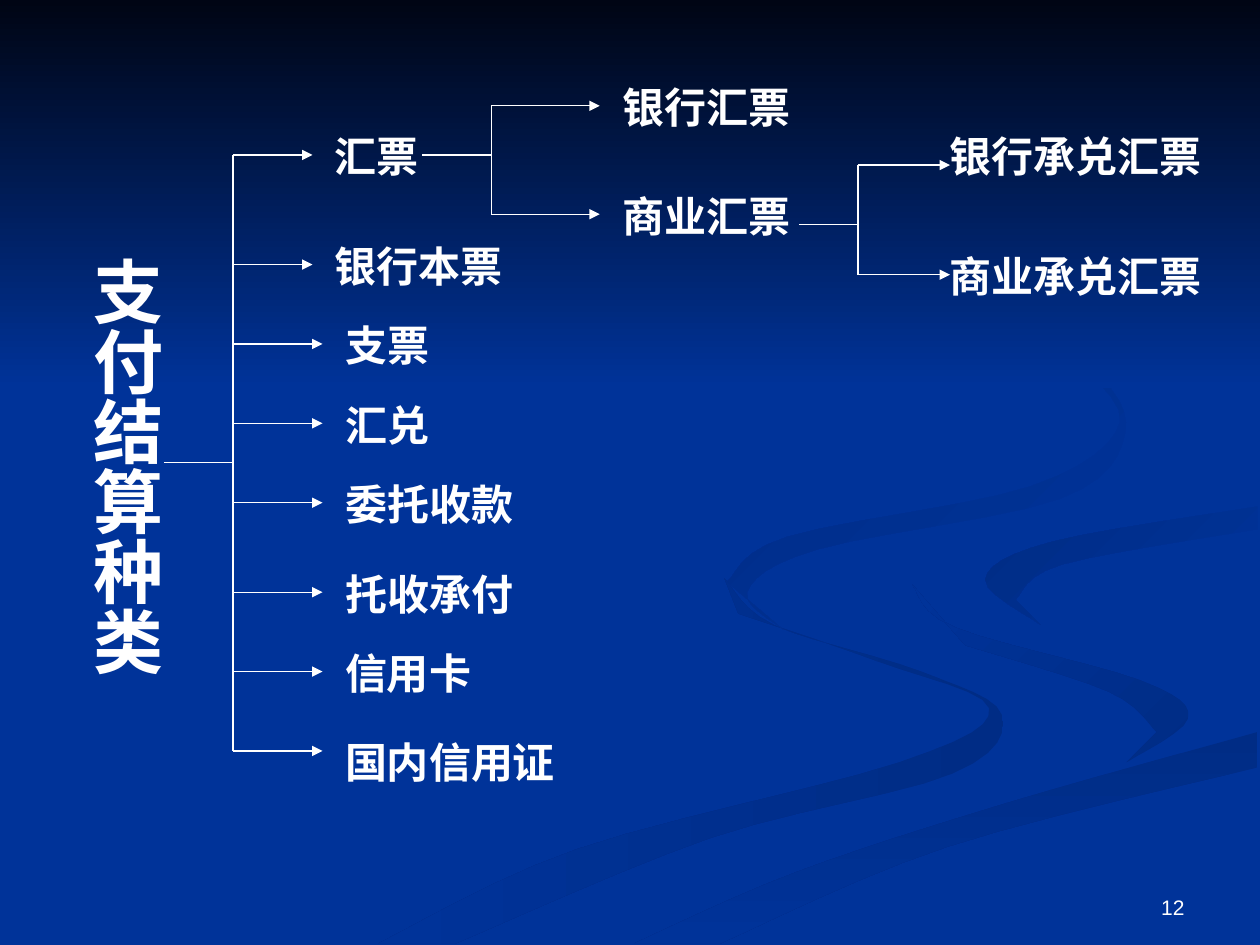
"""Build a slide that shows the kinds of payment settlement as a tree."""
from lxml.etree import SubElement
from pptx import Presentation
from pptx.dml.color import RGBColor
from pptx.enum.shapes import MSO_CONNECTOR
from pptx.enum.text import MSO_ANCHOR, MSO_AUTO_SIZE, PP_ALIGN
from pptx.oxml.ns import qn
from pptx.util import Inches, Pt

THEME = {
    "back": "003399", "night": "000514", "shade": "002C85", "text": "FFFFFF",
    "face": "Times New Roman", "plain": "Arial",
    "root": 40, "label": 24, "page": 12, "line": 0.75,
}

ROOT = ("支付结算种类", (0.52, 1.94, 0.86, 4.41))
PAGE = ("12", (7.17, 6.83, 2.33, 0.52))

TREE = [
    {"stem": (1.3, 3.67), "trunk": 1.85, "tip": 2.56, "gap": 0.08, "leaves": {
        "汇票": 1.23, "银行本票": 2.1, "支票": 2.73, "汇兑": 3.36,
        "委托收款": 3.99, "托收承付": 4.7, "信用卡": 5.33, "国内信用证": 5.96}},
    {"stem": (3.35, 1.23), "trunk": 3.9, "tip": 4.76, "gap": 0.08, "leaves": {
        "银行汇票": 0.84, "商业汇票": 1.7}},
    {"stem": (6.34, 1.78), "trunk": 6.81, "tip": 7.54, "gap": -0.1, "leaves": {
        "银行承兑汇票": 1.31, "商业承兑汇票": 2.18}},
]
INSET = {"汇票": 0.08, "银行本票": 0.08}
DROP = {"国内信用证": 0.08, "银行承兑汇票": -0.08}

RIBBONS = [
    ("shade", "back", 180,
     [(5.75, 4.59), (6.14, 4.96), (7.31, 5.33), (7.95, 5.67), (7.56, 6.14),
      (5.64, 6.65), (3.61, 7.49)],
     [(3, 7.49), (4.58, 6.74), (7.14, 6.05), (7.85, 5.62), (6.97, 5.25),
      (5.86, 4.87)]),
    ("shade", "back", 225,
     [(7.24, 4.64), (7.58, 4.98), (9.05, 5.4), (9.43, 5.7), (8.94, 6.05)],
     [(9.18, 5.81), (8.8, 5.49), (7.66, 5.12)]),
    ("shade", "back", 90,
     [(5.03, 7.49), (6.3, 6.93), (7.97, 6.38), (9.98, 5.81)],
     [(9.98, 6.09), (7.52, 6.72), (5.71, 7.49)]),
    ("back", "shade", 225,
     [(8.26, 4.96), (7.82, 4.6), (8.35, 4.3), (9.98, 4.02)],
     [(9.98, 4.2), (8.43, 4.48), (8.06, 4.76)]),
    ("back", "shade", 225,
     [(7.62, 2.33), (8.64, 2.91), (8.93, 3.44), (8.41, 3.96), (6.49, 4.36),
      (5.93, 4.7), (6.22, 5)],
     [(5.77, 4.62), (6.25, 4.26), (8.18, 3.86), (8.89, 3.35), (8.46, 2.79)]),
]


def hue(name):
    return RGBColor.from_string(THEME[name])


def smooth(knots, steps=6):
    ring = [knots[0], *knots, knots[-1]]
    curve = []
    for a, b, c, d in zip(ring, ring[1:], ring[2:], ring[3:]):
        for step in range(steps):
            t = step / steps
            curve.append(tuple(
                q + t * ((r - p) + t * ((2 * p - 5 * q + 4 * r - s)
                                        + t * (3 * q - p - 3 * r + s))) / 2
                for p, q, r, s in zip(a, b, c, d)))
    return curve + [knots[-1]]


def add_band(slide, start, end, angle, points):
    spots = [(Inches(x), Inches(y)) for x, y in points]
    pen = slide.shapes.build_freeform(*spots[0])
    pen.add_line_segments(spots[1:], close=True)
    band = pen.convert_to_shape()
    band.shadow.inherit = False
    band.line.fill.background()
    band.fill.gradient()
    band.fill.gradient_angle = 360 - angle
    for stop, name in zip(band.fill.gradient_stops, (start, end)):
        stop.color.rgb = hue(name)


def add_line(slide, x1, y1, x2, y2, arrow=False):
    ends = [Inches(n) for n in (x1, y1, x2, y2)]
    line = slide.shapes.add_connector(MSO_CONNECTOR.STRAIGHT, *ends)
    line.line.color.rgb = hue("text")
    line.line.width = Pt(THEME["line"])
    if arrow:
        SubElement(line.line._get_or_add_ln(), qn("a:tailEnd"), type="triangle")
    SubElement(line._element.spPr, qn("a:effectLst"))


def add_text(slide, text, area, size, face="face", bold=True):
    frame = slide.shapes.add_textbox(*[Inches(n) for n in area]).text_frame
    frame.word_wrap = True
    para = frame.paragraphs[0]
    para.text = text
    para.font.name = THEME[face]
    para.font.size = Pt(THEME[size])
    para.font.bold = bold
    para.font.color.rgb = hue("text")
    return frame


def add_root(slide, text, area):
    frame = add_text(slide, text, area, "root")
    frame.auto_size = MSO_AUTO_SIZE.SHAPE_TO_FIT_TEXT
    frame.margin_left = frame.margin_right = Inches(0.05)
    frame.margin_top = frame.margin_bottom = Inches(0.1)
    frame.paragraphs[0].alignment = PP_ALIGN.CENTER
    frame._txBody.bodyPr.set("vert", "eaVert")


def add_branch(slide, stem, trunk, tip, gap, leaves):
    add_line(slide, *stem, trunk, stem[1])
    add_line(slide, trunk, min(leaves.values()), trunk, max(leaves.values()))
    for text, row in leaves.items():
        end = tip - INSET.get(text, 0)
        add_line(slide, trunk, row, end, row, arrow=True)
        top = row - 0.24 + DROP.get(text, 0)
        area = (end + gap, top, 0.25 + 0.35 * len(text), 0.5)
        frame = add_text(slide, text, area, "label")
        frame.auto_size = MSO_AUTO_SIZE.SHAPE_TO_FIT_TEXT


def main():
    deck = Presentation()
    deck.slide_width, deck.slide_height = Inches(10), Inches(7.5)
    slide = deck.slides.add_slide(deck.slide_layouts[6])
    slide.background.fill.solid()
    slide.background.fill.fore_color.rgb = hue("back")
    for start, end, angle, out, home in RIBBONS:
        add_band(slide, start, end, angle, smooth(out) + smooth(home))
    add_band(slide, "night", "back", 90, [(0, 0), (0, 3.08), (10, 3.08), (10, 0)])
    add_root(slide, *ROOT)
    for branch in TREE:
        add_branch(slide, **branch)
    page = add_text(slide, *PAGE, "page", "plain", False)
    page.vertical_anchor = MSO_ANCHOR.BOTTOM
    page.paragraphs[0].alignment = PP_ALIGN.RIGHT
    deck.save("out.pptx")


if __name__ == "__main__":
    main()
